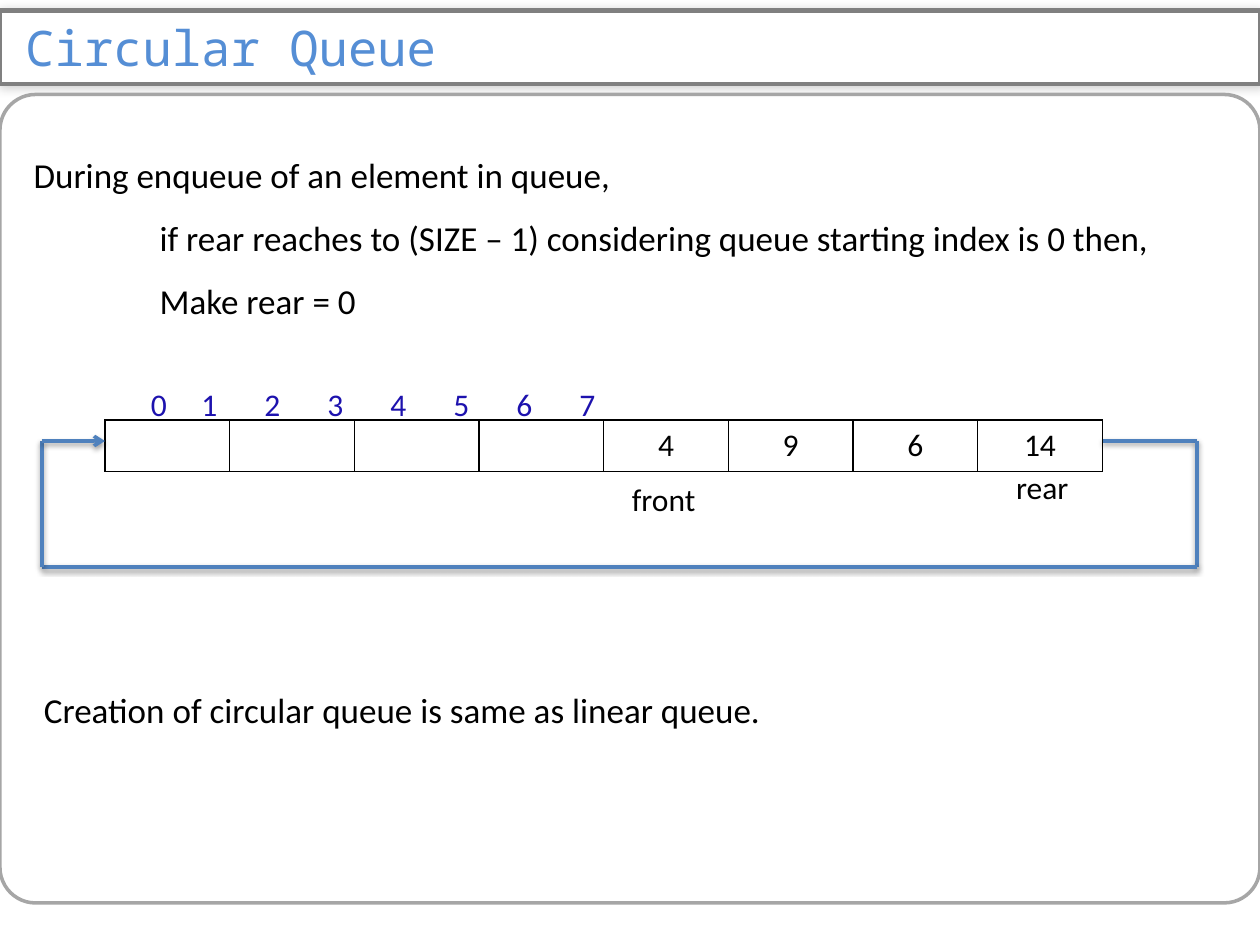
import pptx
import pptx.dml.color
import pptx.enum.shapes
import pptx.enum.text
import pptx.oxml
import pptx.oxml.ns
import pptx.util

COLORS = {
    "title": "558ED5", "text": "000000", "index": "1D12AE", "white": "FFFFFF",
    "panel": "A6A6A6", "bar": "808080", "loop": "4F81BD",
}
GRID = 12  # grid units per inch
SIZE = (120, 90)
NS = pptx.oxml.ns.nsdecls("a")


def units(value):
    """Turn grid units into a length."""
    return pptx.util.Inches(value / GRID)


def rgb(name):
    """Look up a colour of the palette."""
    return pptx.dml.color.RGBColor.from_string(COLORS[name])


def add_xml(parent, xml):
    """Append a drawing element given as XML text with an {ns} slot."""
    parent.append(pptx.oxml.parse_xml(xml.format(ns=NS)))


def add_shadow(shape, alpha, blur, distance, angle):
    """Give a shape a soft black outer shadow."""
    add_xml(shape._element.spPr, (
        f'<a:effectLst {{ns}}><a:outerShdw blurRad="{pptx.util.Pt(blur)}" '
        f'dist="{pptx.util.Pt(distance)}" dir="{angle * 60000}" rotWithShape="0">'
        f'<a:srgbClr val="000000"><a:alpha val="{alpha * 1000}"/></a:srgbClr>'
        '</a:outerShdw></a:effectLst>'))


class QueueSlide:
    """Holds the current slide and its style."""

    def __init__(self, deck):
        """Start a title and content slide."""
        self.slide = deck.slides.add_slide(deck.slide_layouts[1])
        self.shapes = self.slide.shapes

    def place(self, shape, left, top, width, height):
        """Move a shape to a place on the grid."""
        shape.left, shape.top = units(left), units(top)
        shape.width, shape.height = units(width), units(height)

    def style(self, paragraph, size, color="text", font="Calibri"):
        """Format all runs of a paragraph."""
        for run in paragraph.runs:
            run.font.size = pptx.util.Pt(size)
            run.font.name = font
            run.font.color.rgb = rgb(color)

    def outline(self, shape, color, width):
        """Set the line of a shape."""
        shape.line.color.rgb = rgb(color)
        shape.line.width = pptx.util.Pt(width)

    def panel(self, *box):
        """Draw the rounded frame of the content."""
        frame = self.shapes.add_shape(
            pptx.enum.shapes.MSO_SHAPE.ROUNDED_RECTANGLE, *map(units, box))
        frame.adjustments[0] = 0.044
        frame.shadow.inherit = False
        frame.fill.background()
        self.outline(frame, "panel", 2)

    def title(self, text, *box):
        """Turn the title placeholder into a rounded bar."""
        bar = self.shapes.title
        self.place(bar, *box)
        add_xml(bar._element.spPr, '<a:prstGeom {ns} prst="roundRect"><a:avLst>'
                '<a:gd name="adj" fmla="val 40900"/></a:avLst></a:prstGeom>')
        bar.fill.solid()
        bar.fill.fore_color.rgb = rgb("white")
        self.outline(bar, "bar", 2.5)
        add_shadow(bar, 20, 6, 1, 45)
        frame = bar.text_frame
        frame.text = text
        frame.auto_size = pptx.enum.text.MSO_AUTO_SIZE.NONE
        frame.vertical_anchor = pptx.enum.text.MSO_ANCHOR.MIDDLE
        frame.margin_left = pptx.util.Inches(0.2)
        frame.margin_top = frame.margin_bottom = 0
        frame.paragraphs[0].alignment = pptx.enum.text.PP_ALIGN.LEFT
        self.style(frame.paragraphs[0], 28, "title", "Noto Sans Mono")

    def body(self, lines, *box):
        """Fill the body placeholder with (indent, text) lines."""
        holder = self.slide.placeholders[1]
        self.place(holder, *box)
        frame = holder.text_frame
        frame.text = "\n".join(text for _, text in lines)
        frame.auto_size = pptx.enum.text.MSO_AUTO_SIZE.NONE
        for (indent, _), paragraph in zip(lines, frame.paragraphs):
            paragraph.line_spacing = 1.5
            paragraph.space_before = pptx.util.Pt(0)
            properties = paragraph._p.get_or_add_pPr()
            properties.set("marL", str(units(indent)))
            properties.set("indent", "0")
            add_xml(properties, "<a:buNone {ns}/>")
            self.style(paragraph, 20)

    def label(self, text, *box, size=18, color="text", indent=0.0):
        """Write a line of text, its start moved in by the indent."""
        frame = self.shapes.add_textbox(*map(units, box)).text_frame
        frame.word_wrap = True
        frame.text = text
        frame.paragraphs[0]._p.get_or_add_pPr().set("indent", str(units(indent)))
        self.style(frame.paragraphs[0], size, color)

    def queue(self, values, *box):
        """Draw the queue as a one-row table with black borders."""
        table = self.shapes.add_table(1, len(values), *map(units, box)).table
        table.first_row = table.horz_banding = False
        for cell, value in zip(table.rows[0].cells, values):
            cell.text = value
            paragraph = cell.text_frame.paragraphs[0]
            paragraph.alignment = pptx.enum.text.PP_ALIGN.CENTER
            self.style(paragraph, 18)
            properties = cell._tc.get_or_add_tcPr()
            for side in "LRTB":
                add_xml(properties, (
                    f'<a:ln{side} {{ns}} w="{pptx.util.Pt(1)}"><a:solidFill>'
                    f'<a:srgbClr val="{COLORS["text"]}"/></a:solidFill></a:ln{side}>'))
            cell.fill.background()

    def loop(self, corners):
        """Join the corners by lines and end in an arrow."""
        for start, end in zip(corners, corners[1:]):
            side = self.shapes.add_connector(
                pptx.enum.shapes.MSO_CONNECTOR.STRAIGHT, *map(units, start + end))
            self.outline(side, "loop", 2)
            if end == corners[-1]:
                add_xml(side.line._get_or_add_ln(), '<a:tailEnd {ns} type="arrow"/>')
            add_shadow(side, 38, 3.1, 1.6, 90)


def main():
    """Build the deck."""
    deck = pptx.Presentation()
    deck.slide_width, deck.slide_height = map(units, SIZE)
    page = QueueSlide(deck)
    page.panel(0, 9, 120, 77)
    page.title("Circular Queue", 0, 1, 120, 7)
    page.body([
        (0, "During enqueue of an element in queue,"),
        (12, "if rear reaches to (SIZE – 1) considering queue starting index is 0 then,"),
        (12, "Make rear = 0"),
    ], 2, 12, 116, 30)
    queue = ["", "", "", "", "4", "9", "6", "14"]
    page.queue(queue, 10, 40, 95, 4.9)
    page.label("front", 59, 45.1, 9, 4.8)
    page.label("rear", 95, 44, 9, 4.8, indent=0.6)
    page.label("\t".join(map(str, range(len(queue)))), 12, 36.1, 91, 4.8,
               color="index", indent=1.2)
    page.loop([(105, 42), (114, 42), (114, 54), (4, 54), (4, 42), (10, 42)])
    page.label("Creation of circular queue is same as linear queue.",
               3, 65, 109, 5.3, size=20)
    deck.save("out.pptx")


main()
